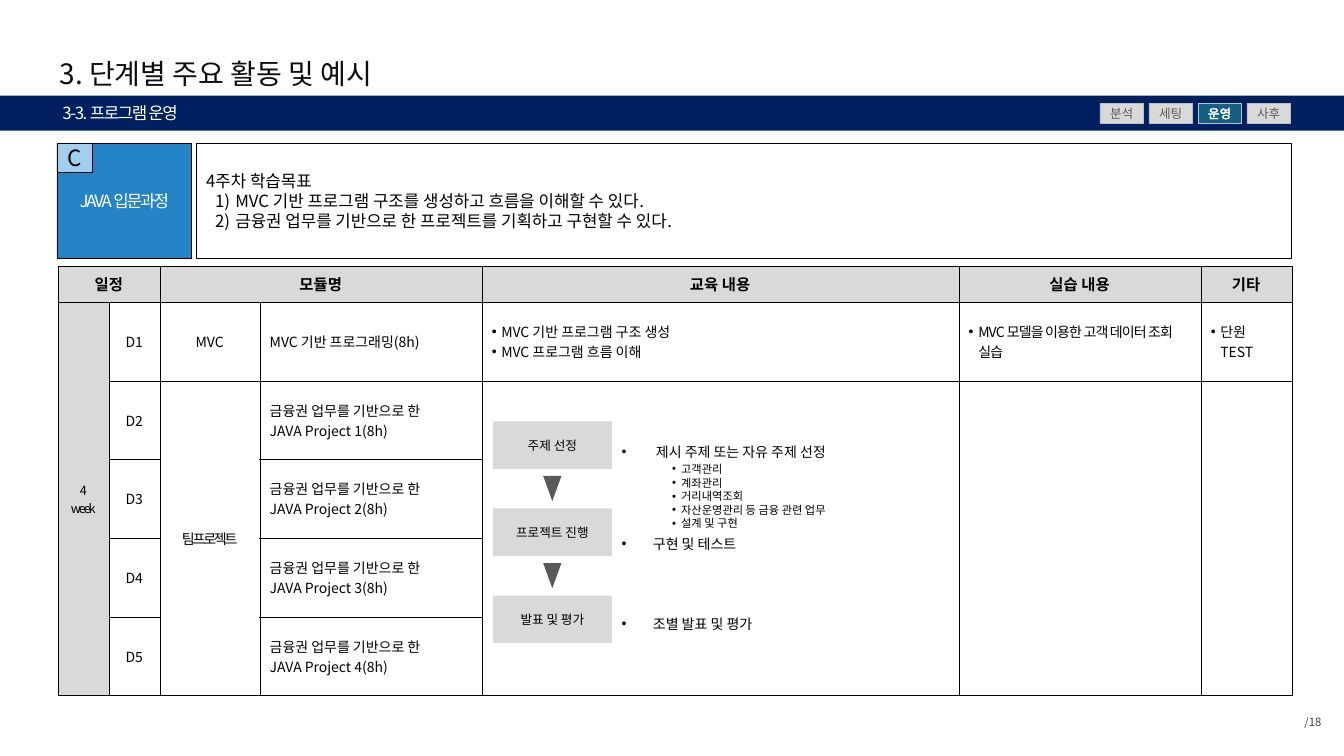
from lxml.etree import SubElement
from pptx import Presentation
from pptx.dml.color import RGBColor
from pptx.enum.shapes import MSO_SHAPE
from pptx.enum.text import MSO_ANCHOR, MSO_AUTO_SIZE, PP_ALIGN
from pptx.oxml.ns import qn
from pptx.util import Pt

LEFT, CENTER, RIGHT = PP_ALIGN.LEFT, PP_ALIGN.CENTER, PP_ALIGN.RIGHT
BLACK, WHITE, GRAY, DARK = "000000", "FFFFFF", "D9D9D9", "595959"
POINT = dict(bullet="•", indent=6.8, hang=6.8)
COURSE = "금융권 업무를 기반으로 한"


def paint(target, color):
    """Give a fill, or the fill of a line, a solid colour."""
    target.solid()
    target.fore_color.rgb = RGBColor.from_string(color)


class Page:
    """Hold the style and the current slide, and draw its elements."""

    font = "Noto Sans CJK KR"
    rule = 0.25

    def __init__(self, deck):
        self.slide = deck.slides.add_slide(deck.slide_layouts[1])
        self.shapes = self.slide.shapes

    def place(self, shape, box):
        """Move a shape to left, top, width and height."""
        for name, value in zip(("left", "top", "width", "height"), box):
            setattr(shape, name, Pt(value))

    def span(self, para, text, size=10, color=BLACK, bold=False, track=0, outline=None):
        """Add one formatted run."""
        run = para.add_run()
        run.text = text
        for name, value in dict(name=self.font, size=Pt(size), bold=bold).items():
            setattr(run.font, name, value)
        paint(run.font.fill, color)
        props = run._r.get_or_add_rPr()
        SubElement(props, qn("a:ea"), typeface=self.font)
        if track:
            props.set("spc", str(round(track * 100)))
        if outline:
            line = SubElement(props, qn("a:ln"), w=str(Pt(self.rule)))
            fill = SubElement(line, qn("a:solidFill"))
            SubElement(fill, qn("a:srgbClr"), val=outline)
            props.insert(0, line)

    def para(self, para, text, align=LEFT, indent=0, hang=0, bullet=None,
             before=0, pitch=None, **style):
        """Format one paragraph and its run."""
        props = para._p.get_or_add_pPr()
        props.set("marL", str(Pt(indent)))
        props.set("indent", str(-Pt(hang)))
        if bullet == "1)":
            SubElement(props, qn("a:buAutoNum"), type="arabicParenR")
        elif bullet:
            SubElement(props, qn("a:buFont"), typeface="Arial")
            SubElement(props, qn("a:buChar"), char=bullet)
        else:
            SubElement(props, qn("a:buNone"))
        values = dict(alignment=align, space_before=Pt(before), space_after=Pt(0))
        if pitch:
            values["line_spacing"] = Pt(pitch)
        for name, value in values.items():
            setattr(para, name, value)
        self.span(para, text, **style)

    def lines(self, frame, lines, **style):
        """Fill a text frame with lines, each a string or a (string, format) pair."""
        for index, line in enumerate(lines):
            text, own = line if isinstance(line, tuple) else (line, {})
            para = frame.add_paragraph() if index else frame.paragraphs[0]
            self.para(para, text, **{**style, **own})

    def frame(self, shape, lines, inset=(7.2, 3.6), wrap=True,
              anchor=MSO_ANCHOR.MIDDLE, **style):
        """Set up a text frame and fill it."""
        across, down = inset
        values = dict(margin_left=Pt(across), margin_right=Pt(across),
                      margin_top=Pt(down), margin_bottom=Pt(down), word_wrap=wrap,
                      auto_size=MSO_AUTO_SIZE.NONE, vertical_anchor=anchor)
        for name, value in values.items():
            setattr(shape.text_frame, name, value)
        self.lines(shape.text_frame, lines, **style)

    def border(self, shape, color):
        """Outline a shape, or leave it without a line."""
        if color:
            paint(shape.line.fill, color)
            shape.line.width = Pt(self.rule)
        else:
            shape.line.fill.background()

    def holder(self, index, box, lines, fill=None, line=None, **style):
        """Use a placeholder of the layout."""
        shape = self.slide.placeholders[index]
        self.place(shape, box)
        if fill:
            paint(shape.fill, fill)
        self.border(shape, line)
        self.frame(shape, lines, **style)

    def block(self, box, fill, lines=(), line=None, kind=MSO_SHAPE.RECTANGLE, **style):
        """Draw a filled preset shape with text."""
        shape = self.shapes.add_shape(kind, *map(Pt, box))
        shape.shadow.inherit = False
        paint(shape.fill, fill)
        self.border(shape, line)
        self.frame(shape, lines, **{"align": CENTER, **style})

    def text(self, box, lines, **style):
        """Draw a text box."""
        self.frame(self.shapes.add_textbox(*map(Pt, box)), lines, **style)

    def grid(self, box, widths, heights, merges, cells):
        """Draw a ruled table; cells map (row, column) to (lines, format)."""
        size = len(heights), len(widths)
        table = self.shapes.add_table(*size, *map(Pt, box)).table
        table.first_row = table.horz_banding = False
        for column, width in zip(table.columns, widths):
            column.width = Pt(width)
        for row, height in zip(table.rows, heights):
            row.height = Pt(height)
        for row in range(size[0]):
            for column in range(size[1]):
                cell = table.cell(row, column)
                props = cell._tc.get_or_add_tcPr()
                for side in ("a:lnL", "a:lnR", "a:lnT", "a:lnB"):
                    line = SubElement(props, qn(side), w=str(Pt(self.rule)))
                    fill = SubElement(line, qn("a:solidFill"))
                    SubElement(fill, qn("a:srgbClr"), val=BLACK)
                paint(cell.fill, GRAY if row == 0 or column == 0 else WHITE)
                cell.vertical_anchor = MSO_ANCHOR.MIDDLE
                lines, style = cells.get((row, column), ((), {}))
                self.lines(cell.text_frame, lines, **style)
        for first, last in merges:
            table.cell(*first).merge(table.cell(*last))


def schedule(page):
    """Draw the timetable of the week."""
    middle = dict(align=CENTER)
    cells = {
        (1, 0): (["4", "week"], dict(align=CENTER, size=9, track=-1.5)),
        (1, 2): (["MVC"], middle),
        (1, 3): (["MVC 기반 프로그래밍(8h)"], {}),
        (1, 4): (["MVC 기반 프로그램 구조 생성", "MVC 프로그램 흐름 이해"], POINT),
        (1, 5): (["MVC 모델을 이용한 고객 데이터 조회 실습"], dict(POINT, track=-0.6)),
        (1, 6): (["단원 TEST"], POINT),
        (2, 2): (["팀프로젝트"], dict(align=CENTER, track=-1.5)),
    }
    heads = {0: "일정", 2: "모듈명", 4: "교육 내용", 5: "실습 내용", 6: "기타"}
    for column, head in heads.items():
        cells[0, column] = [head], dict(align=CENTER, size=11, bold=True)
    for day in range(1, 6):
        cells[day, 1] = [f"D{day}"], middle
    for project in range(1, 5):
        cells[project + 1, 3] = [COURSE, f"JAVA Project {project}(8h)"], {}
    merges = [((0, 0), (0, 1)), ((0, 2), (0, 3)), ((1, 0), (5, 0))]
    merges += [((2, column), (5, column)) for column in (2, 4, 5, 6)]
    page.grid((41.3, 190, 881.4, 306.8), [36.4, 36.4, 71.4, 158.6, 340.7, 172.9, 65],
              [25.8] + [56.2] * 5, merges, cells)


def project_flow(page):
    """Draw the project steps and their notes."""
    topic = dict(bullet="•", indent=22.3, hang=22.3, pitch=14)
    detail = dict(bullet="•", indent=42.5, hang=6.5, pitch=9.7, size=8)
    page.text((437, 311.2, 228, 148), [
        ("제시 주제 또는 자유 주제 선정", dict(topic, indent=24.5, hang=24.5)),
        ("고객관리", dict(detail, before=1.4)),
        *[(item, detail) for item in ("계좌관리", "거리내역조회",
                                      "자산운영관리 등 금융 관련 업무", "설계 및 구현")],
        ("구현 및 테스트", dict(topic, before=1.7)),
        ("조별 발표 및 평가", dict(topic, before=43.3)),
    ], anchor=MSO_ANCHOR.TOP)
    for index, step in enumerate(("주제 선정", "프로젝트 진행", "발표 및 평가")):
        top = 301 + index * 62.2
        page.block((352, top, 85, 34), GRAY, [step], size=9)
        if index < 2:
            page.block((388, top + 39, 13, 18), DARK, kind=MSO_SHAPE.FLOWCHART_MERGE)


def main():
    """Build the slide and save it."""
    deck = Presentation()
    deck.slide_width, deck.slide_height = Pt(960), Pt(540)
    page = Page(deck)
    page.holder(0, (39.6, 35.3, 721.5, 33.8), ["3. 단계별 주요 활동 및 예시"],
                inset=(2.9, 2.9), wrap=False, size=20, color="0D0D0D")
    page.text((915.8, 506.9, 35.3, 18), ["/18"], wrap=False, align=RIGHT,
              size=8.1, color="404040")
    page.block((0, 68.4, 960, 25), "002060", ["3-3. 프로그램 운영"], align=LEFT,
               indent=37.5, size=12, color=WHITE, track=-1)
    for index, stage in enumerate(("분석", "세팅", "운영", "사후")):
        active = stage == "운영"
        page.block((785.7 + index * 35, 73.6, 31, 14.6), "156082" if active else GRAY,
                   [stage], line="BFBFBF", wrap=False, size=9,
                   color=WHITE if active else DARK, outline=WHITE if active else None)
    page.block((40.7, 102.4, 96.2, 82.2), "2484C6", ["JAVA 입문과정"], line=BLACK,
               size=12, color=WHITE, track=-1.5)
    page.block((40.7, 102.4, 25.2, 20.8), "A2CFEE", ["C"], line=BLACK, size=16)
    goal = dict(bullet="1)", indent=20.9, hang=14.4)
    page.holder(1, (140, 102.4, 782.6, 82.2), [
        "4주차 학습목표",
        ("MVC 기반 프로그램 구조를 생성하고 흐름을 이해할 수 있다.", goal),
        ("금융권 업무를 기반으로 한 프로젝트를 기획하고 구현할 수 있다.", goal),
    ], fill=WHITE, line=BLACK, size=12)
    schedule(page)
    project_flow(page)
    deck.save("out.pptx")


if __name__ == "__main__":
    main()
